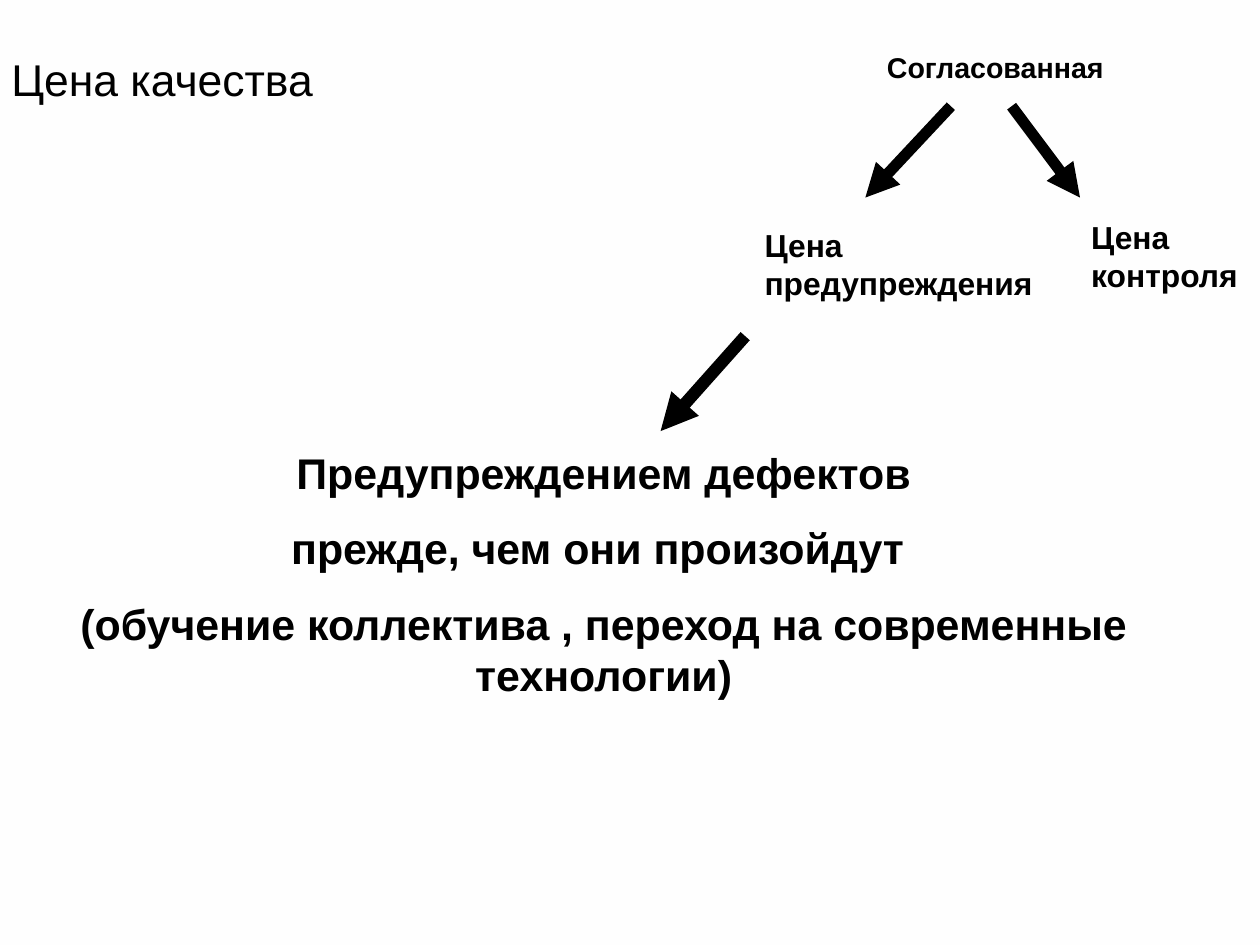
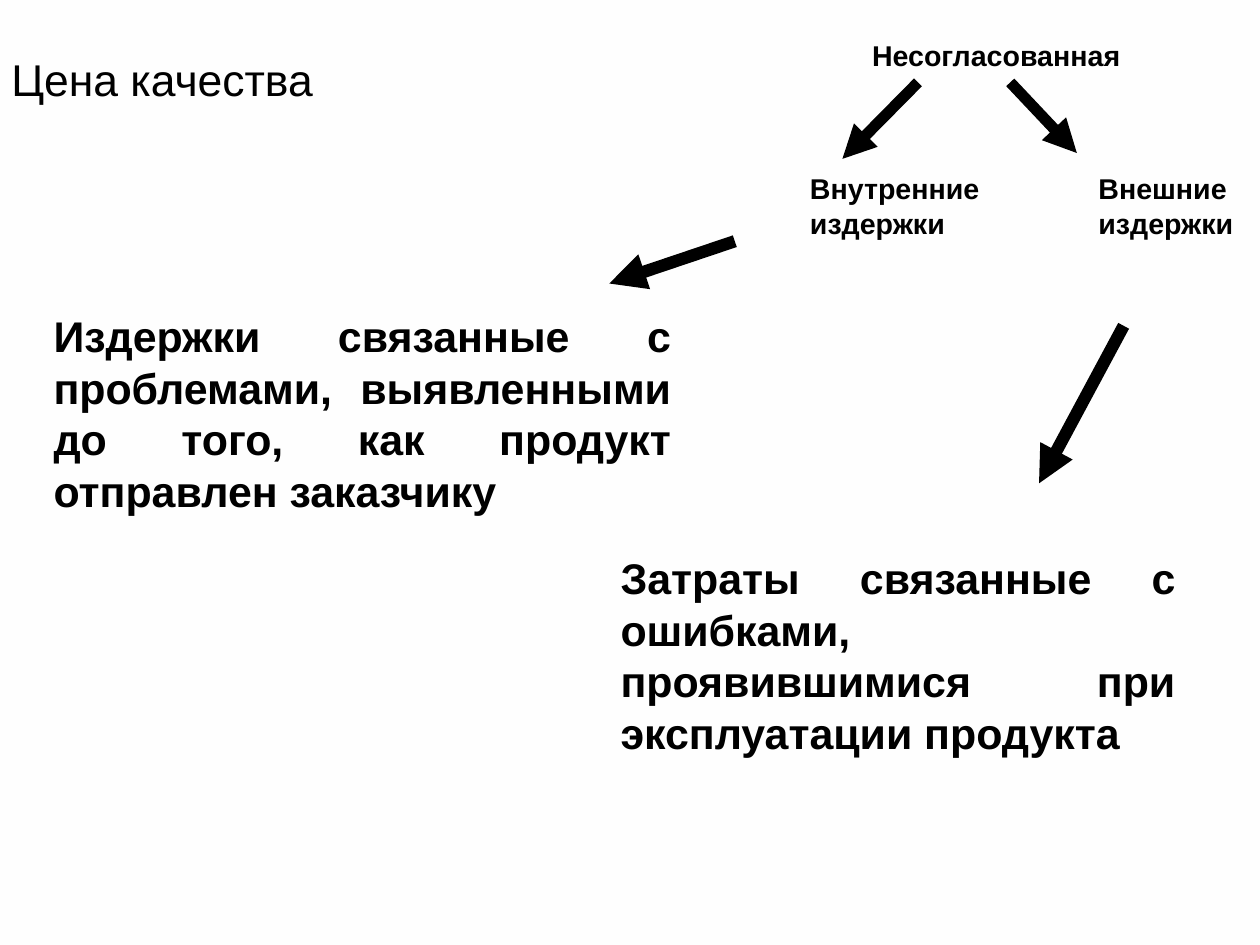
"""Build two slides on the price of quality."""
from dataclasses import dataclass

from lxml import etree
from pptx import Presentation
from pptx import util as u
from pptx.dml.color import RGBColor
from pptx.enum import shapes as es, text as et
from pptx.oxml.ns import qn


@dataclass(frozen=True)
class Theme:
    font: str = "Arial"
    ink: RGBColor = RGBColor(0, 0, 0)
    top: RGBColor = RGBColor(0xFE, 0xFE, 0xFE)
    base: RGBColor = RGBColor(0xFF, 0xFF, 0xFF)
    title: float = 28
    body: float = 27
    large: float = 20
    small: float = 18
    thin: float = 7
    thick: float = 7.75
    gap: float = 15


@dataclass(frozen=True)
class Label:
    lines: tuple[str, ...]
    box: tuple[float, float, float, float]
    size: float
    wrap: bool = False


@dataclass(frozen=True)
class Note:
    lines: tuple[str, ...]
    box: tuple[float, float, float, float]
    align: et.PP_ALIGN


@dataclass(frozen=True)
class Arrow:
    start: tuple[float, float]
    end: tuple[float, float]


@dataclass(frozen=True)
class Page:
    labels: tuple[Label, ...]
    forks: tuple[Arrow, ...]
    notes: tuple[Note, ...]
    links: tuple[Arrow, ...]


THEME = Theme()
TITLE = "Цена качества"
TITLE_BOX = (0, 0, 23.8, 3.5)

PAGES = (
    Page(
        labels=(
            Label(("Согласованная",), (19.46, 0.99, 5.51, 1.02), THEME.small),
            Label(("Цена", "предупреждения"), (16.74, 4.9, 7.44, 1.96), THEME.large, True),
            Label(("Цена", "контроля"), (24, 4.72, 3.78, 1.96), THEME.large),
        ),
        forks=(
            Arrow((21.13, 2.36), (19.23, 4.39)),
            Arrow((22.48, 2.36), (24, 4.39)),
        ),
        notes=(
            Note(
                (
                    " Предупреждением дефектов ",
                    "прежде, чем они произойдут ",
                    "(обучение коллектива , переход на современные технологии)",
                ),
                (1.4, 9.8, 24.03, 5.89),
                et.PP_ALIGN.CENTER,
            ),
        ),
        links=(Arrow((16.56, 7.47), (14.68, 9.58)),),
    ),
    Page(
        labels=(
            Label(("Несогласованная",), (19.13, 0.71, 6.22, 1.02), THEME.small),
            Label(("Внутренние", "издержки"), (17.75, 3.68, 4.45, 1.78), THEME.small),
            Label(("Внешние", "издержки"), (24.16, 3.68, 3.68, 1.78), THEME.small),
        ),
        forks=(
            Arrow((20.4, 1.83), (18.72, 3.53)),
            Arrow((22.45, 1.83), (23.93, 3.4)),
        ),
        notes=(
            Note(
                ("Издержки связанные с проблемами, выявленными до того, "
                 "как продукт отправлен заказчику",),
                (0.94, 6.76, 14.22, 6.5),
                et.PP_ALIGN.JUSTIFY,
            ),
            Note(
                ("Затраты связанные с ошибками, проявившимися при эксплуатации продукта",),
                (13.54, 12.14, 12.83, 4.83),
                et.PP_ALIGN.JUSTIFY,
            ),
        ),
        links=(
            Arrow((16.33, 5.36), (13.54, 6.3)),
            Arrow((24.97, 7.24), (23.09, 10.74)),
        ),
    ),
)


def write(frame, lines: tuple[str, ...], *, size: float, bold: bool = True,
          align=et.PP_ALIGN.LEFT, gap: float = 0, wrap: bool = True,
          anchor=et.MSO_ANCHOR.TOP) -> None:
    frame.word_wrap = wrap
    frame.vertical_anchor = anchor
    for i, line in enumerate(lines):
        para = frame.paragraphs[0] if i == 0 else frame.add_paragraph()
        para.alignment = align
        para.space_before = u.Pt(gap)
        run = para.add_run()
        run.text = line
        font = run.font
        font.name, font.size, font.bold = THEME.font, u.Pt(size), bold
        font.color.rgb = THEME.ink


def put_text(parent, lines: tuple[str, ...], box: tuple[float, ...], **style) -> None:
    shape = parent.add_textbox(*map(u.Cm, box))
    write(shape.text_frame, lines, **style)


def put_arrow(parent, arrow: Arrow, width: float) -> None:
    ends = map(u.Cm, arrow.start + arrow.end)
    link = parent.add_connector(es.MSO_CONNECTOR.STRAIGHT, *ends)
    link.line.color.rgb = THEME.ink
    link.line.width = u.Pt(width)
    etree.SubElement(link.line._get_or_add_ln(), qn("a:tailEnd"), type="triangle")
    etree.SubElement(link._element.spPr, qn("a:effectLst"))


def set_back(master) -> None:
    fill = master.background.fill
    fill.gradient()
    fill.gradient_angle = 270
    for stop, tone, place in zip(fill.gradient_stops, (THEME.top, THEME.base), (0, 1)):
        stop.color.rgb = tone
        stop.position = place


def put_title(slide) -> None:
    title = slide.shapes.title
    title.left, title.top, title.width, title.height = map(u.Cm, TITLE_BOX)
    write(title.text_frame, (TITLE,), size=THEME.title, bold=False,
          anchor=et.MSO_ANCHOR.MIDDLE)


def put_page(deck, page: Page) -> None:
    slide = deck.slides.add_slide(deck.slide_layouts.get_by_name("Title Only"))
    put_title(slide)
    tree = slide.shapes.add_group_shape().shapes
    for label in page.labels:
        put_text(tree, label.lines, label.box, size=label.size, wrap=label.wrap)
    for fork in page.forks:
        put_arrow(tree, fork, THEME.thin)
    for note in page.notes:
        put_text(slide.shapes, note.lines, note.box, size=THEME.body,
                 align=note.align, gap=THEME.gap)
    for link in page.links:
        put_arrow(slide.shapes, link, THEME.thick)


def main() -> None:
    deck = Presentation()
    deck.slide_width, deck.slide_height = u.Cm(28), u.Cm(21)
    set_back(deck.slide_master)
    for page in PAGES:
        put_page(deck, page)
    deck.save("out.pptx")


if __name__ == "__main__":
    main()
